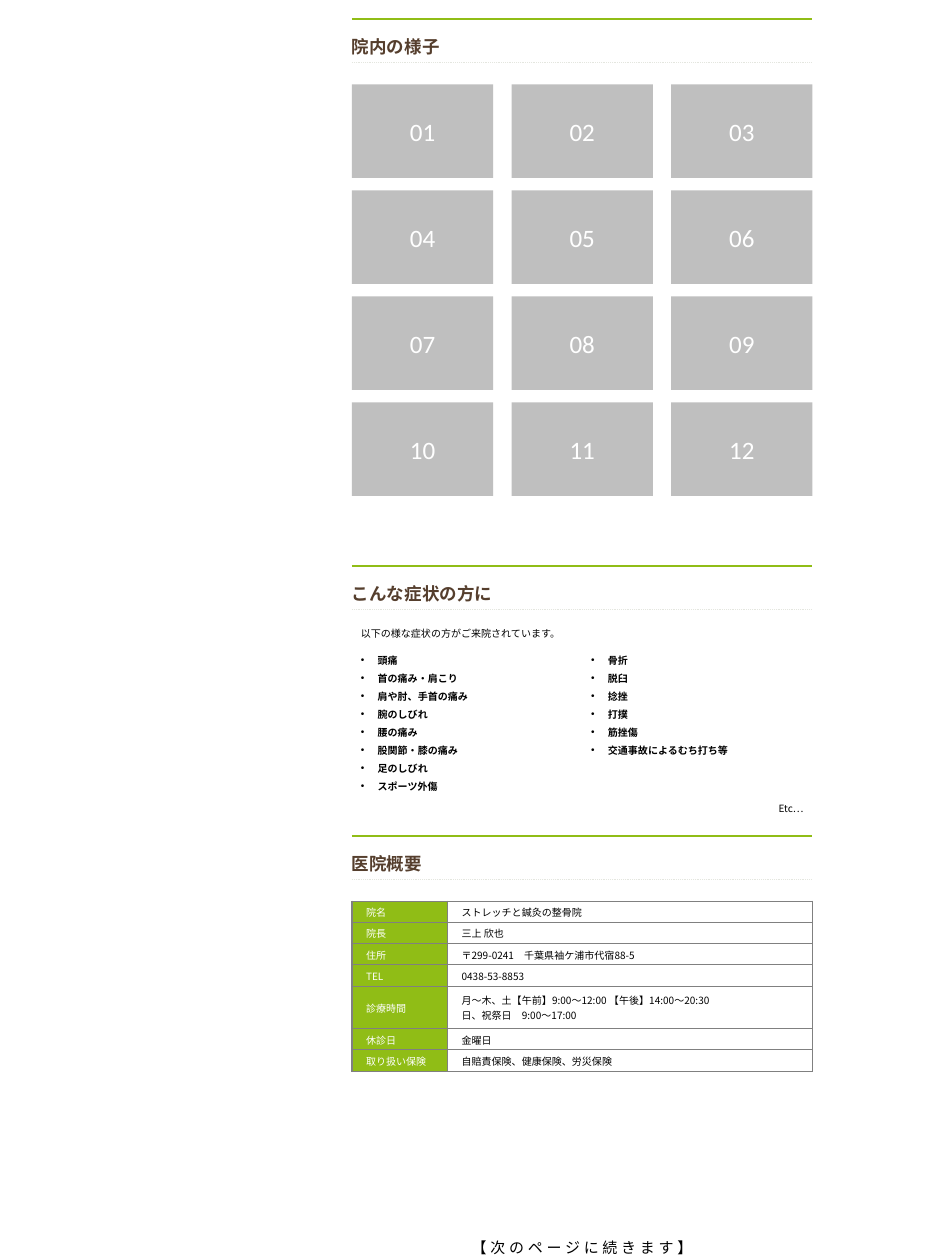
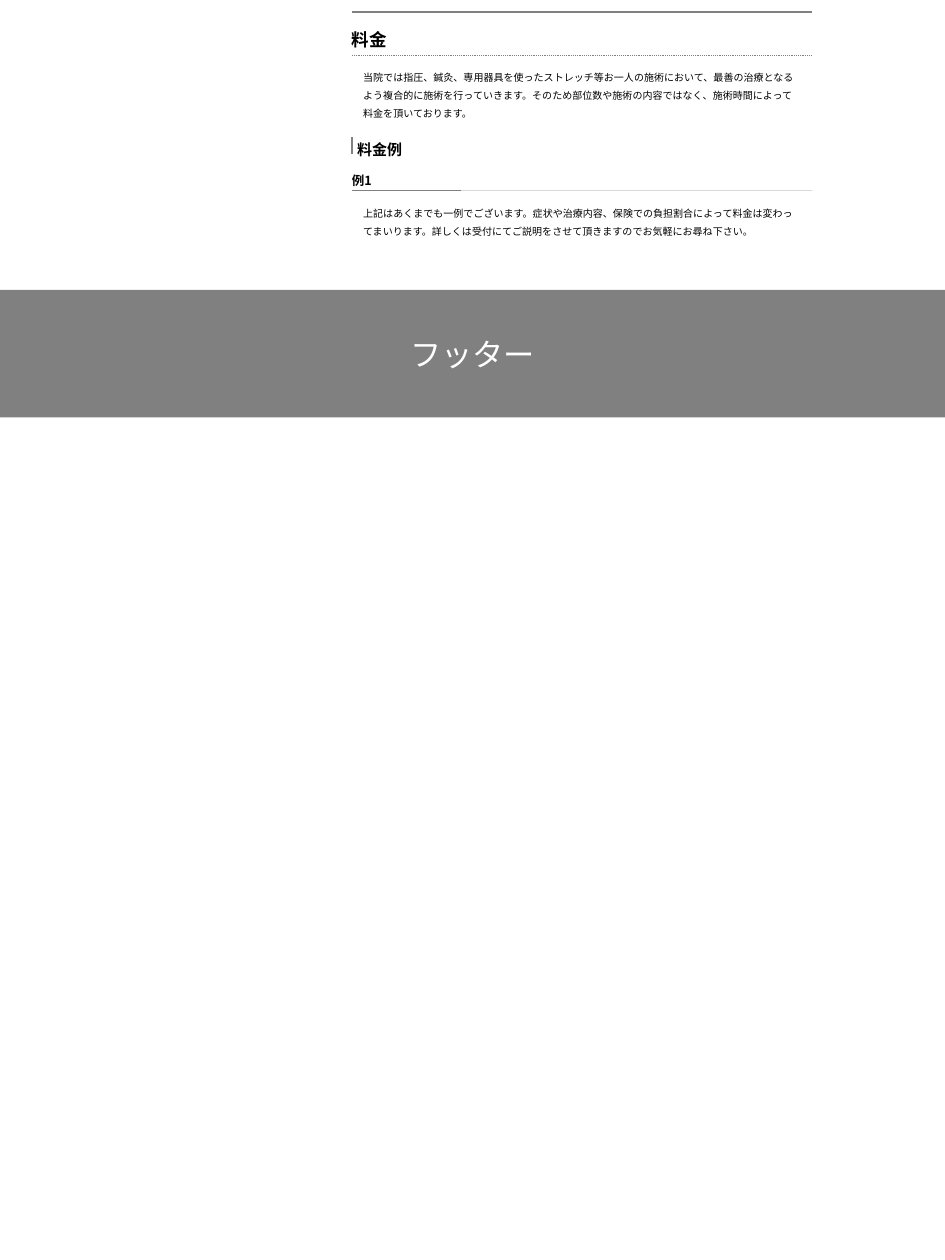
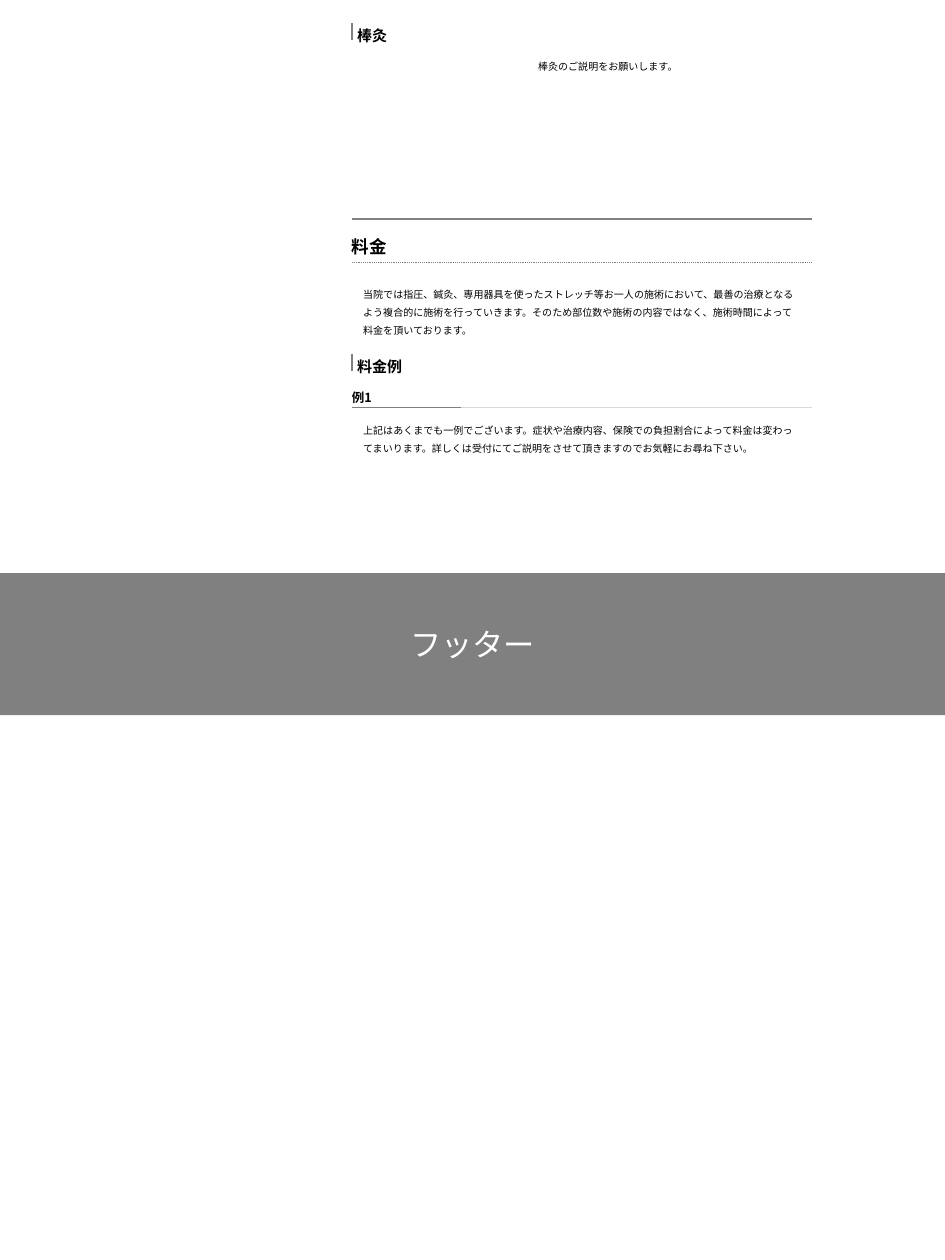
from dataclasses import dataclass

from lxml import etree
from pptx import Presentation
from pptx.dml.color import RGBColor
from pptx.enum.dml import MSO_LINE
from pptx.enum.shapes import MSO_CONNECTOR, MSO_SHAPE
from pptx.enum.text import MSO_ANCHOR, MSO_AUTO_SIZE, PP_ALIGN
from pptx.oxml.ns import qn
from pptx.util import Pt

LEFT, CENTER, RIGHT = PP_ALIGN.LEFT, PP_ALIGN.CENTER, PP_ALIGN.RIGHT
MIDDLE = MSO_ANCHOR.MIDDLE
FIT_SHAPE = MSO_AUTO_SIZE.SHAPE_TO_FIT_TEXT
RECTANGLE = MSO_SHAPE.RECTANGLE
STRAIGHT = MSO_CONNECTOR.STRAIGHT
DOTTED = MSO_LINE.ROUND_DOT


@dataclass(frozen=True)
class Theme:
    green: str = "90BD16"
    brown: str = "553E2D"
    pale: str = "E4E6DF"
    gray: str = "808080"
    silver: str = "BFBFBF"
    light: str = "D9D9D9"
    black: str = "000000"
    white: str = "FFFFFF"
    latin: str = "Calibri"
    japanese: str = "Noto Sans CJK JP"
    body: int = 8
    example: int = 10
    subheading: int = 12
    heading: int = 14
    number: int = 20
    footer: int = 25


theme = Theme()


def write_text(frame, texts, size, color=theme.black, bold=False, align=LEFT,
               spacing=1.0, bullet=False, font=theme.japanese, tracking=0):
    for index, text in enumerate(texts):
        paragraph = frame.paragraphs[0] if index == 0 else frame.add_paragraph()
        paragraph.alignment = align
        paragraph.line_spacing = spacing
        if bullet:
            properties = paragraph._p.get_or_add_pPr()
            properties.set("marL", str(Pt(13.5)))
            properties.set("indent", str(Pt(-13.5)))
            etree.SubElement(properties, qn("a:buFont")).set("typeface", "Arial")
            etree.SubElement(properties, qn("a:buChar")).set("char", "•")
        for part_index, part in enumerate(text.split("\n")):
            if part_index:
                paragraph.add_line_break()
            run = paragraph.add_run()
            run.text = part
            run.font.size = Pt(size)
            run.font.bold = bold
            run.font.color.rgb = RGBColor.from_string(color)
            run.font.name = font
            run_properties = run._r.get_or_add_rPr()
            etree.SubElement(run_properties, qn("a:ea")).set("typeface", theme.japanese)
            if tracking:
                run_properties.set("spc", str(tracking * 100))


def add_text_box(slide, left, top, width, height, texts, size, inset=7.2, **style):
    box = slide.shapes.add_textbox(Pt(left), Pt(top), Pt(width), Pt(height))
    frame = box.text_frame
    frame.word_wrap = True
    frame.auto_size = FIT_SHAPE
    frame.margin_left = Pt(inset)
    write_text(frame, texts, size, **style)


presentation = Presentation()
presentation.slide_width = Pt(756)
presentation.slide_height = Pt(1008)
blank = presentation.slide_layouts[6]
clinic, fees, moxa = [presentation.slides.add_slide(blank) for _ in range(3)]

column_left, column_width = 281.6, 368.4
column_right = column_left + column_width
lines = []
blocks = []

for slide, top, title, title_color, rule_color, dot_color in [
    (clinic, 15.2, "院内の様子", theme.brown, theme.green, theme.pale),
    (clinic, 452.8, "こんな症状の方に", theme.brown, theme.green, theme.pale),
    (clinic, 668.8, "医院概要", theme.brown, theme.green, theme.pale),
    (fees, 9.8, "料金", theme.black, theme.gray, theme.gray),
    (moxa, 175.5, "料金", theme.black, theme.gray, theme.gray),
]:
    lines.append((slide, column_left, top, column_right, top, rule_color, 1.5, None))
    lines.append((slide, column_left, top + 34.6, column_right, top + 34.6, dot_color, 0.75, DOTTED))
    add_text_box(slide, column_left, top + 1.3, column_width, 30.2, [title], theme.heading,
                 inset=0, color=title_color, bold=True, spacing=1.5)

photo_width, photo_height = 113, 74.9
for number in range(12):
    row, column = divmod(number, 3)
    blocks.append((clinic, column_left + column * 127.7, 67.5 + row * 84.8, photo_width,
                   photo_height, theme.silver, f"{number + 1:02d}", theme.number))

add_text_box(clinic, column_left, 498.2, column_width, 17,
             ["以下の様な症状の方がご来院されています。"], theme.body)
symptom_columns = [
    ["頭痛", "首の痛み・肩こり", "肩や肘、手首の痛み", "腕のしびれ",
     "腰の痛み", "股関節・膝の痛み", "足のしびれ", "スポーツ外傷"],
    ["骨折", "脱臼", "捻挫", "打撲", "筋挫傷", "交通事故によるむち打ち等"],
]
for index, symptoms in enumerate(symptom_columns):
    add_text_box(clinic, column_left + index * column_width / 2, 515.3, column_width / 2, 124,
                 symptoms, theme.body, bold=True, spacing=1.5, bullet=True)
add_text_box(clinic, column_left, 638.8, column_width, 17, ["Etc…"], theme.body, align=RIGHT)

profile = [
    ("院名", "ストレッチと鍼灸の整骨院"),
    ("院長", "三上 欣也"),
    ("住所", "〒299-0241　千葉県袖ケ浦市代宿88-5"),
    ("TEL", "0438-53-8853"),
    ("診療時間", "月～木、土【午前】9:00～12:00 【午後】14:00～20:30\n日、祝祭日　9:00～17:00"),
    ("休診日", "金曜日"),
    ("取り扱い保険", "自賠責保険、健康保険、労災保険"),
]
table = clinic.shapes.add_table(len(profile), 2, Pt(column_left), Pt(721),
                                Pt(column_width), Pt(136)).table
table.first_row = False
table.horz_banding = False
table.columns[0].width = Pt(76.4)
table.columns[1].width = Pt(column_width - 76.4)
for row_index, entry in enumerate(profile):
    table.rows[row_index].height = Pt(34 if "\n" in entry[1] else 17)
    for column_index, text in enumerate(entry):
        cell = table.cell(row_index, column_index)
        fill, color = [(theme.green, theme.white), (theme.white, theme.black)][column_index]
        cell.vertical_anchor = MIDDLE
        cell.margin_left = Pt(11.3)
        cell.margin_top = cell.margin_right = Pt(0.6)
        cell.margin_bottom = Pt(0)
        write_text(cell.text_frame, [text], theme.body, color=color)
        cell_properties = cell._tc.get_or_add_tcPr()
        for side in ("a:lnL", "a:lnR", "a:lnT", "a:lnB"):
            border = etree.SubElement(cell_properties, qn(side), w=str(Pt(1)))
            border_fill = etree.SubElement(border, qn("a:solidFill"))
            etree.SubElement(border_fill, qn("a:srgbClr")).set("val", theme.gray)
        cell.fill.solid()
        cell.fill.fore_color.rgb = RGBColor.from_string(fill)

add_text_box(clinic, column_left, 987, column_width, 21.8, ["【次のページに続きます】"],
             theme.subheading, align=CENTER, tracking=3)

for slide, top, title in [(fees, 101.5, "料金例"), (moxa, 10.8, "棒灸"), (moxa, 275, "料金例")]:
    add_text_box(slide, 285.8, top, column_right - 285.8, 27.4, [title], theme.subheading,
                 inset=0, bold=True, spacing=1.5)
    lines.append((slide, column_left, top + 8, column_left, top + 21.5, theme.gray, 2.25, None))

add_text_box(moxa, 423.4, 44.6, 226.8, 17, ["棒灸のご説明をお願いします。"], theme.body)

policy = ("当院では指圧、鍼灸、専用器具を使ったストレッチ等お一人の施術において、最善の治療となる"
          "よう複合的に施術を行っていきます。そのため部位数や施術の内容ではなく、施術時間によって"
          "料金を頂いております。")
note = ("上記はあくまでも一例でございます。症状や治療内容、保険での負担割合によって料金は変わっ"
        "てまいります。詳しくは受付にてご説明をさせて頂きますのでお気軽にお尋ね下さい。")
for slide, top, footer_top, footer_height in [(fees, 49, 231.9, 102), (moxa, 222.5, 458.6, 113.6)]:
    for offset, height, text in [(0, 49.7, policy), (108.7, 36, note)]:
        add_text_box(slide, 283.5, top + offset, 365, height, [text], theme.body, spacing=1.5)
    add_text_box(slide, column_left, top + 80, column_width, 23.8, ["例1"], theme.example,
                 inset=0, bold=True, spacing=1.5)
    for line_right, color in [(column_right, theme.light), (368.6, theme.gray)]:
        lines.append((slide, column_left, top + 103.7, line_right, top + 103.7, color, 0.75, None))
    blocks.append((slide, 0, footer_top, 756, footer_height, theme.gray, "フッター", theme.footer))

for slide, left, top, width, height, fill, text, size in blocks:
    shape = slide.shapes.add_shape(RECTANGLE, Pt(left), Pt(top), Pt(width), Pt(height))
    shape.shadow.inherit = False
    shape.fill.solid()
    shape.fill.fore_color.rgb = RGBColor.from_string(fill)
    shape.line.fill.background()
    shape.text_frame.vertical_anchor = MIDDLE
    write_text(shape.text_frame, [text], size, color=theme.white, align=CENTER, font=theme.latin)

for slide, left, top, right, bottom, color, weight, dash in lines:
    connector = slide.shapes.add_connector(STRAIGHT, Pt(left), Pt(top), Pt(right), Pt(bottom))
    connector.line.color.rgb = RGBColor.from_string(color)
    connector.line.width = Pt(weight)
    if dash:
        connector.line.dash_style = dash
    etree.SubElement(connector._element.spPr, qn("a:effectLst"))

presentation.save("out.pptx")
